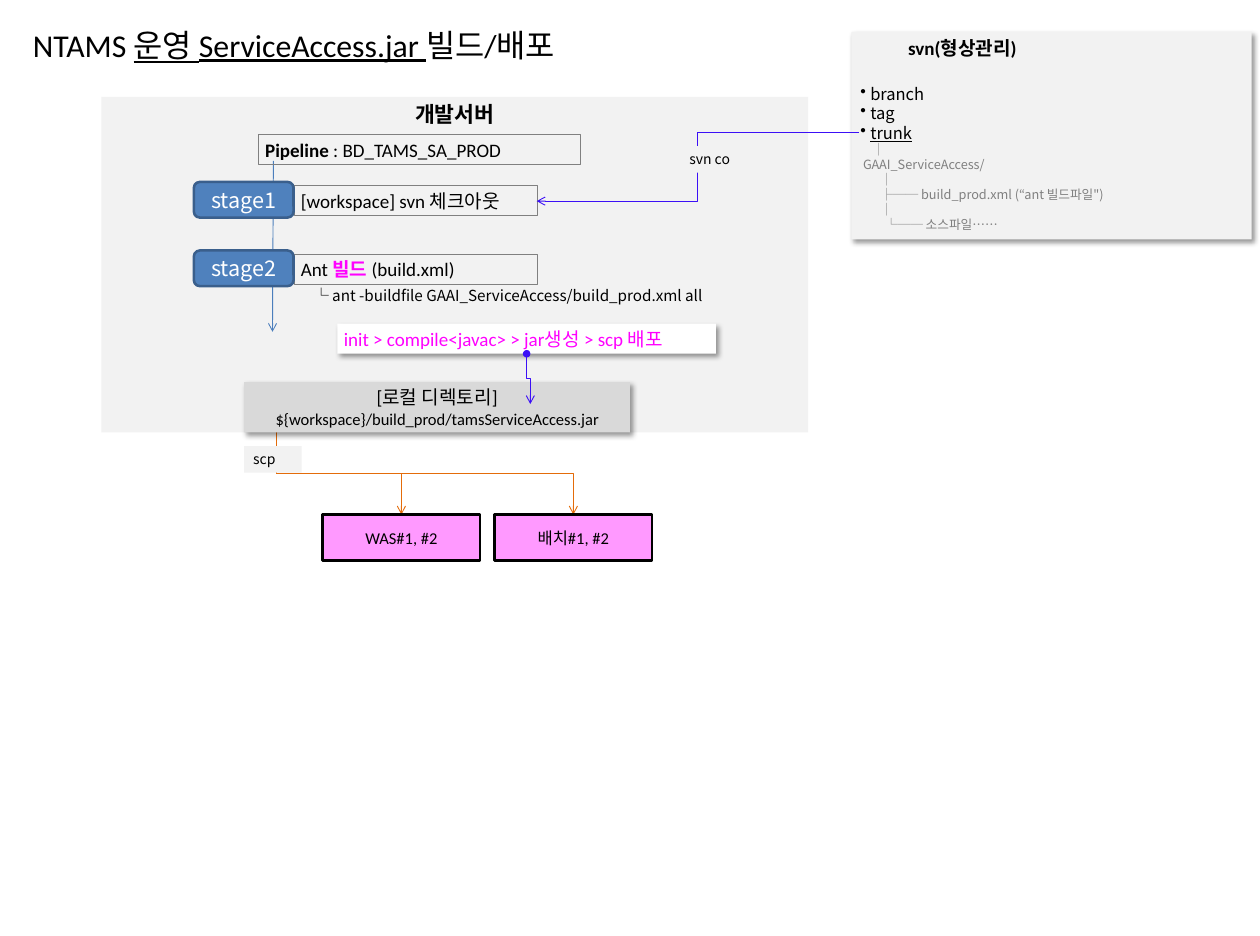
from lxml import etree
from pptx import Presentation
from pptx import util as u
from pptx.dml.color import RGBColor
from pptx.enum import shapes, text
from pptx.oxml.ns import qn

SCALE = 9144
BLACK = RGBColor(0x00, 0x00, 0x00)
WHITE = RGBColor(0xFF, 0xFF, 0xFF)
GRAY = RGBColor(0x80, 0x80, 0x80)
PANEL = RGBColor(0xF2, 0xF2, 0xF2)
SILVER = RGBColor(0xD9, 0xD9, 0xD9)
MAGENTA = RGBColor(0xFF, 0x00, 0xFF)
PINK = RGBColor(0xFF, 0x99, 0xFF)
STAGE = RGBColor(0x4F, 0x81, 0xBD)
STAGE_EDGE = RGBColor(0x3A, 0x5F, 0x8C)
FLOW = RGBColor(0x4B, 0x7E, 0xBC)
ORANGE = RGBColor(0xE4, 0x6C, 0x0A)
VIOLET = RGBColor(0x3C, 0x10, 0xF6)

CALIBRI = "Calibri"
NOTO = "Noto Sans CJK KR"
WIDE = (14, 7, 14, 7)
NORMAL = (10, 5, 10, 5)
TIGHT = (7, 4, 7, 4)
LEFT = text.PP_ALIGN.LEFT
CENTER = text.PP_ALIGN.CENTER


def px(value):
    return u.Emu(int(value * SCALE))


def span(words, color=BLACK, bold=False, underline=False):
    return words, color, bold, underline


class Board:
    def __init__(self, page):
        self.page = page

    def put_text(self, shape, spans, size, font=CALIBRI, align=LEFT, insets=NORMAL,
                 middle=False, wrap=True, indent=0, bullet=False):
        frame = shape.text_frame
        frame.word_wrap = wrap
        frame.margin_left, frame.margin_top, frame.margin_right, frame.margin_bottom = map(px, insets)
        frame.vertical_anchor = text.MSO_ANCHOR.MIDDLE if middle else text.MSO_ANCHOR.TOP
        self.fill_para(frame.paragraphs[0], spans, size, font, align, indent, bullet)

    def add_para(self, shape, spans, size, font=CALIBRI, align=LEFT, indent=0, bullet=False):
        para = shape.text_frame.add_paragraph()
        self.fill_para(para, spans, size, font, align, indent, bullet)

    def fill_para(self, para, spans, size, font, align, indent, bullet):
        properties = para._p.get_or_add_pPr()
        if indent:
            properties.set("marL", str(px(indent)))
            properties.set("indent", str(px(-indent if bullet else 0)))
        if bullet:
            etree.SubElement(properties, qn("a:buChar")).set("char", "•")
        para.alignment = align
        if font == NOTO:
            para.line_spacing = u.Pt(round(size * 1.18, 1))
        for words, color, bold, underline in spans:
            run = para.add_run()
            run.text = words
            run.font.size = u.Pt(size)
            run.font.name = font
            run.font.bold = bold
            run.font.underline = underline
            run.font.color.rgb = color
            east = etree.SubElement(run._r.get_or_add_rPr(), qn("a:ea"))
            east.set("typeface", NOTO)

    def box(self, x, y, width, height, fill=None, edge=None, weight=0.75,
            rounded=False, shadow=False):
        kinds = shapes.MSO_SHAPE
        kind = kinds.ROUNDED_RECTANGLE if rounded else kinds.RECTANGLE
        shape = self.page.shapes.add_shape(kind, *map(px, (x, y, width, height)))
        shape.shadow.inherit = False
        if fill is None:
            shape.fill.background()
        else:
            shape.fill.solid()
            shape.fill.fore_color.rgb = fill
        if edge is None:
            shape.line.fill.background()
        else:
            shape.line.color.rgb = edge
            shape.line.width = u.Pt(weight)
        if shadow:
            effects = shape._element.spPr.find(qn("a:effectLst"))
            outer = etree.SubElement(effects, qn("a:outerShdw"), blurRad=str(u.Pt(4)),
                                     dist=str(u.Pt(3)), dir="2700000", algn="tl", rotWithShape="0")
            color = etree.SubElement(outer, qn("a:srgbClr"), val=str(BLACK))
            etree.SubElement(color, qn("a:alpha"), val="40000")
        return shape

    def label(self, x, y, width, height):
        return self.page.shapes.add_textbox(*map(px, (x, y, width, height)))

    def arrow(self, start, end, color, bent=False, downward=False, dot=False):
        kinds = shapes.MSO_CONNECTOR
        (x1, y1), (x2, y2) = start, end
        if downward:
            middle_x, middle_y = (x1 + x2) / 2, (y1 + y2) / 2
            half_x, half_y = (x2 - x1) / 2, (y2 - y1) / 2
            x1, x2 = middle_x + half_y, middle_x - half_y
            y1, y2 = middle_y - half_x, middle_y + half_x
        line = self.page.shapes.add_connector(kinds.ELBOW if bent else kinds.STRAIGHT,
                                              *map(px, (x1, y1, x2, y2)))
        line.line.color.rgb = color
        line.line.width = u.Pt(0.75)
        properties = line._element.spPr
        if downward:
            properties.find(qn("a:xfrm")).set("rot", "16200000")
        stroke = properties.find(qn("a:ln"))
        if dot:
            etree.SubElement(stroke, qn("a:headEnd"), type="oval")
        etree.SubElement(stroke, qn("a:tailEnd"), type="arrow")
        etree.SubElement(properties, qn("a:effectLst"))


def draw_pipeline(board):
    server = board.box(111, 106, 773, 367, PANEL)
    board.put_text(server, [span("개발서버", bold=True)], 17, align=CENTER)
    board.arrow((299, 176), (298, 363), FLOW)

    title = board.label(22, 21, 610, 56)
    board.put_text(title, [span("NTAMS "), span("운영 ServiceAccess.jar ", underline=True),
                           span("빌드/배포")], 25, insets=WIDE)

    steps = [
        (283, 147, 352, [span("Pipeline", bold=True), span(" : BD_TAMS_SA_PROD")]),
        (322, 203, 266, [span("[workspace] svn 체크아웃")]),
        (322, 278, 266, [span("Ant "), span("빌드", MAGENTA, bold=True), span(" (build.xml)")]),
    ]
    for x, y, width, spans in steps:
        board.put_text(board.box(x, y, width, 33, edge=GRAY), spans, 15, insets=TIGHT)

    command = board.label(333, 309, 786, 28)
    board.put_text(command, [span("└ ant -buildfile GAAI_ServiceAccess/build_prod.xml all")],
                   12, NOTO, insets=TIGHT, indent=3)

    for number in (1, 2):
        stage = board.box(212, 124 + 75 * number, 109, 39, STAGE, STAGE_EDGE, 2, rounded=True)
        board.put_text(stage, [span(f"stage{number}", WHITE)], 17, NOTO, CENTER, middle=True)

    targets = board.box(369, 354, 414, 33, WHITE, shadow=True)
    board.put_text(targets, [span("init > compile<javac> > jar생성 > scp 배포", MAGENTA)],
                   15, insets=TIGHT)


def draw_repository(board):
    panel = board.box(931, 35, 438, 227, PANEL, shadow=True)
    board.put_text(panel, [span("branch")], 13, NOTO, insets=(10, 57, 10, 5),
                   indent=11, bullet=True)
    for name in ("tag", "trunk"):
        board.add_para(panel, [span(name, underline=name == "trunk")], 13, NOTO,
                       indent=11, bullet=True)
    tree = [
        (13, "│"),
        (3, "GAAI_ServiceAccess/"),
        (22, "│"),
        (22, "├── build_prod.xml (“ant 빌드파일\")"),
        (22, "│"),
        (27, "└── 소스파일……"),
    ]
    for indent, words in tree:
        board.add_para(panel, [span(words, GRAY)], 10, NOTO, indent=indent)
    heading = board.label(976, 35, 153, 35)
    board.put_text(heading, [span("svn(형상관리)", bold=True)], 15, align=CENTER, wrap=False)


def draw_delivery(board):
    for x, words in ((541, "배치#1, #2"), (353, "WAS#1, #2")):
        board.arrow((302, 473), (x + 86, 563), ORANGE, bent=True, downward=True)
        target = board.box(x, 563, 172, 50, PINK, BLACK, 2)
        board.put_text(target, [span(words)], 13, align=CENTER, middle=True)
    board.arrow((939, 145), (587, 220), VIOLET, bent=True)
    for x, y, width, words in ((267, 488, 63, "scp"), (744, 160, 86, "svn co")):
        board.put_text(board.box(x, y, width, 29, PANEL), [span(words)], 11, NOTO)
    local = board.box(267, 418, 422, 55, SILVER, shadow=True)
    board.put_text(local, [span("[로컬 디렉토리]")], 15, align=CENTER, insets=TIGHT)
    board.add_para(local, [span("${workspace}/build_prod/tamsServiceAccess.jar")], 13,
                   align=CENTER)
    board.arrow((576, 387), (580, 442), VIOLET, bent=True, downward=True, dot=True)


def main():
    deck = Presentation()
    deck.slide_width, deck.slide_height = px(1378), px(1024)
    board = Board(deck.slides.add_slide(deck.slide_layouts[6]))
    draw_pipeline(board)
    draw_repository(board)
    draw_delivery(board)
    deck.save("out.pptx")


if __name__ == "__main__":
    main()
